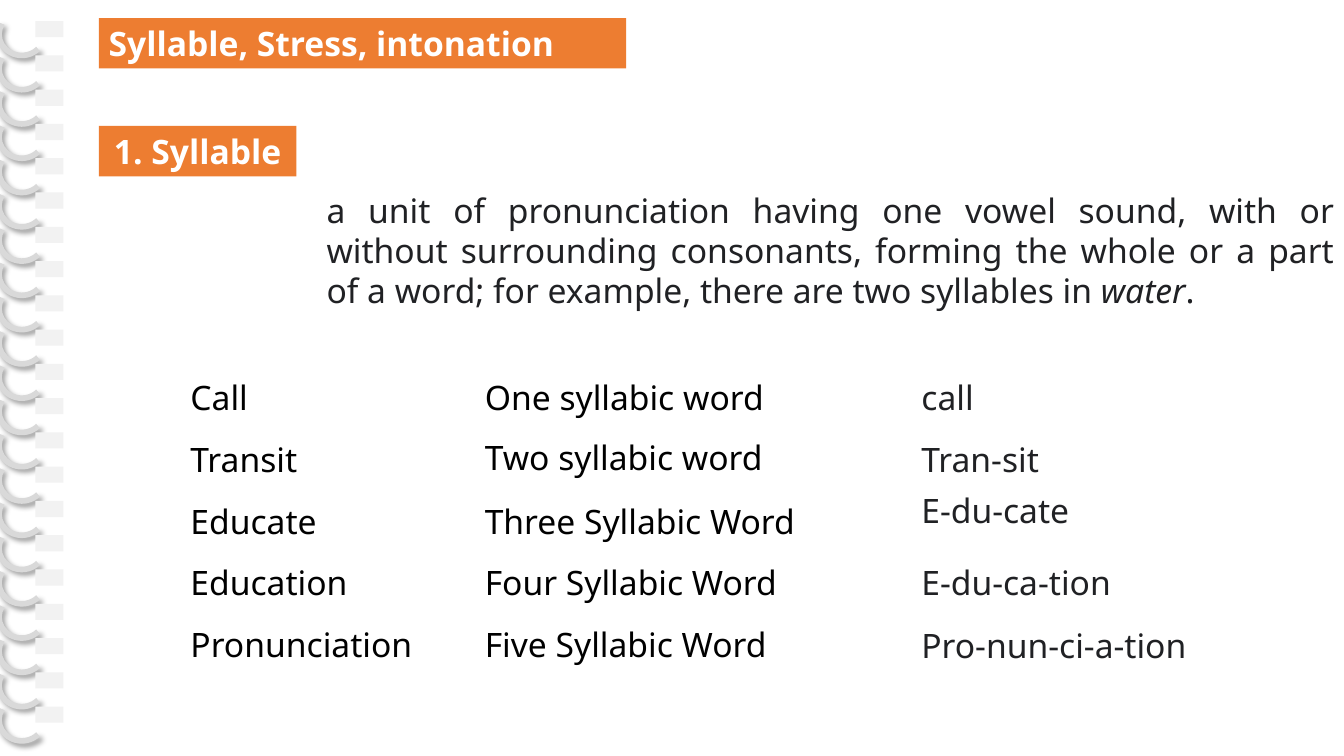
from lxml.etree import SubElement
from pptx import Presentation
from pptx.dml.color import RGBColor
from pptx.enum.shapes import MSO_SHAPE
from pptx.enum.text import MSO_AUTO_SIZE, PP_ALIGN
from pptx.oxml.ns import qn
from pptx.util import Inches, Pt

FONT = "Noto Sans"
COLORS = {
    "hole": "F2F2F2",
    "ring": "D9D9D9",
    "shadow": "000000",
    "heading": "ED7D31",
    "white": "FFFFFF",
    "black": "000000",
    "ink": "202124",
}
RING_COUNT = 21
RING_STEP = 0.34

ROW_TOPS = [3.69, 4.31, 4.92, 5.53, 6.14]
WORDS = ["Call", "Transit", "Educate", "Education", "Pronunciation"]
COUNTS = ["One syllabic word", "Two syllabic word", "Three Syllabic Word",
          "Four Syllabic Word", "Five Syllabic Word"]
SPLITS = ["call", "Tran-sit", "E-du-cate", "E-du-ca-tion", "Pro-nun-ci-a-tion"]


def rgb(name):
    return RGBColor.from_string(COLORS[name])


def place(left, top, width, height):
    return [Inches(value) for value in (left, top, width, height)]


def add_ring_shadow(ring):
    effects = ring._element.spPr.find(qn("a:effectLst"))
    shadow = SubElement(effects, qn("a:outerShdw"), blurRad=str(Pt(4)),
                        dist=str(Pt(3)), dir="2700000", algn="tl", rotWithShape="0")
    color = SubElement(shadow, qn("a:srgbClr"), val=COLORS["shadow"])
    SubElement(color, qn("a:alpha"), val="40000")


def add_filled_rectangle(shapes, area, color):
    rectangle = shapes.add_shape(MSO_SHAPE.RECTANGLE, *place(*area))
    rectangle.shadow.inherit = False
    rectangle.fill.solid()
    rectangle.fill.fore_color.rgb = rgb(color)
    rectangle.line.fill.background()
    return rectangle


def add_binding(page):
    """Draw the spiral binding: one punched hole and one ring per step."""
    for index in range(RING_COUNT):
        offset = index * RING_STEP
        group = page.shapes.add_group_shape()
        add_filled_rectangle(group.shapes, (0.35, 0.21 + offset, 0.28, 0.16), "hole")
        ring = group.shapes.add_shape(
            MSO_SHAPE.ARC, *place(-0.01, 0.13 + offset, 0.45, 0.42))
        # Arc angles are stored in 60000ths of a degree, scaled by 100000.
        ring.adjustments[0] = 42.067 * 0.6
        ring.adjustments[1] = 208.261 * 0.6
        ring.shadow.inherit = False
        ring.fill.background()
        ring.line.color.rgb = rgb("ring")
        ring.line.width = Pt(4)
        add_ring_shadow(ring)


def style_span(span, color, bold=False, italic=False):
    span.font.name = FONT
    span.font.size = Pt(24)
    span.font.bold = bold
    span.font.italic = italic
    span.font.color.rgb = rgb(color)


def add_heading(page, text, area, align):
    heading = add_filled_rectangle(page.shapes, area, "heading")
    frame = heading.text_frame
    frame.word_wrap = True
    frame.text = text
    para = frame.paragraphs[0]
    para.alignment = align
    style_span(para.runs[0], "white", bold=True)


def add_text(shapes, area, pieces, color, align=PP_ALIGN.LEFT, wrap=True):
    """Add a text box; pieces are (text, italic) pairs."""
    box = shapes.add_textbox(*place(*area))
    frame = box.text_frame
    frame.word_wrap = wrap
    frame.auto_size = MSO_AUTO_SIZE.SHAPE_TO_FIT_TEXT
    para = frame.paragraphs[0]
    para.alignment = align
    for text, italic in pieces:
        span = para.add_run()
        span.text = text
        style_span(span, color, italic=italic)


def add_column(page, left, width, texts, color, tops, wrap=True):
    group = page.shapes.add_group_shape()
    for text, top in zip(texts, tops):
        add_text(group.shapes, (left, top, width, 0.5), [(text, False)], color, wrap=wrap)


def main():
    deck = Presentation()
    deck.slide_width, deck.slide_height = Inches(13.33), Inches(7.5)
    page = deck.slides.add_slide(deck.slide_layouts[6])

    add_binding(page)
    add_heading(page, "Syllable, Stress, intonation", (0.98, 0.18, 5.23, 0.5), PP_ALIGN.LEFT)
    add_heading(page, "1. Syllable", (0.98, 1.25, 1.96, 0.5), PP_ALIGN.CENTER)
    definition = [
        ("a unit of pronunciation having one vowel sound, with or without "
         "surrounding consonants, forming the whole or a part of a word; "
         "for example, there are two syllables in ", False),
        ("water", True),
        (". ", False),
    ]
    add_text(page.shapes, (3.14, 1.83, 10.19, 1.31), definition, "ink", PP_ALIGN.JUSTIFY)

    add_column(page, 1.79, 2.55, WORDS, "black", ROW_TOPS)
    add_column(page, 4.71, 3.79, COUNTS, "black", [3.69, 4.29, *ROW_TOPS[2:]])
    add_column(page, 9.04, 3.27, SPLITS, "ink", [3.69, 4.31, 4.81, 5.53, 6.15], wrap=False)

    deck.save("out.pptx")


if __name__ == "__main__":
    main()
